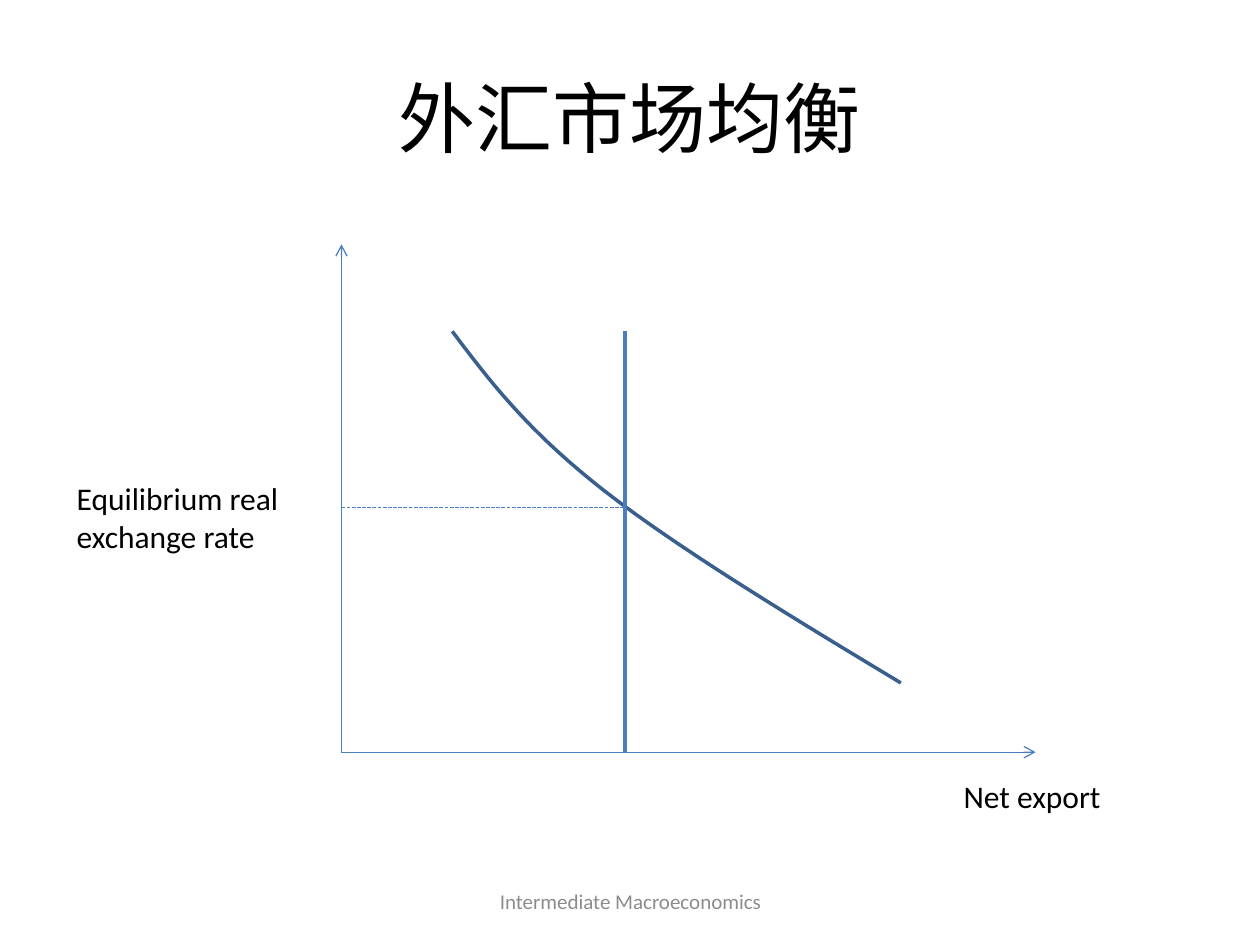
from lxml import etree
from pptx import Presentation
from pptx import util as u
from pptx.dml.color import RGBColor
from pptx.enum import dml, shapes, text
from pptx.oxml.ns import qn

COLORS = {"ink": "000000", "footer": "8C8C8C", "axis": "4B7EBC", "demand": "3A5F8C"}

deck = Presentation()
deck.slide_width, deck.slide_height = u.Inches(10), u.Inches(7.5)
page = deck.slides.add_slide(deck.slide_layouts[6])
column, row = deck.slide_width / 100, deck.slide_height / 75


def add_label(words, left, top, width, height, size, color, align, anchor):
    box = page.shapes.add_textbox(
        round(left * column), round(top * row), round(width * column), round(height * row))
    frame = box.text_frame
    frame.word_wrap = True
    frame.vertical_anchor = anchor
    frame.text = words
    para = frame.paragraphs[0]
    para.alignment = align
    span = para.runs[0]
    span.font.name = "Calibri"
    span.font.size = u.Pt(size)
    span.font.color.rgb = RGBColor.from_string(COLORS[color])


def add_line(start, end, width, arrow=False, dashed=False):
    line = page.shapes.add_connector(
        shapes.MSO_CONNECTOR.STRAIGHT,
        round(start[0] * column), round(start[1] * row),
        round(end[0] * column), round(end[1] * row))
    line.line.color.rgb = RGBColor.from_string(COLORS["axis"])
    line.line.width = u.Pt(width)
    if dashed:
        line.line.dash_style = dml.MSO_LINE.SQUARE_DOT
    if arrow:
        etree.SubElement(line.line._get_or_add_ln(), qn("a:tailEnd"), type="arrow")
    etree.SubElement(line._element.spPr, qn("a:effectLst"))


center, left = text.PP_ALIGN.CENTER, text.PP_ALIGN.LEFT
middle, top = text.MSO_ANCHOR.MIDDLE, text.MSO_ANCHOR.TOP
add_label("外汇市场均衡", 5, 3, 90, 12.5, 44, "ink", center, middle)
add_label("Intermediate Macroeconomics", 34.2, 69.5, 31.7, 4, 12, "footer", center, middle)
add_label("Net export", 75.5, 61.2, 19.3, 4, 18, "ink", left, top)
add_label("Equilibrium real exchange rate", 5.1, 37.5, 20.5, 7.1, 18, "ink", left, top)

origin = (27.1, 59.7)
equilibrium = (49.6, 40.3)
curve_top = 26.3
add_line(origin, (82.2, origin[1]), 0.75, arrow=True)
add_line(origin, (origin[0], 19.4), 0.75, arrow=True)

bends = [
    ((35.9, curve_top), (38.9, 30.3), (41.9, 34.2), (47.9, 38.9)),
    ((47.9, 38.9), (53.8, 43.5), (62.7, 48.9), (71.5, 54.2)),
]
steps = 24
points = [bends[0][0]]
for a, b, c, d in bends:
    for step in range(1, steps + 1):
        t = step / steps
        weights = ((1 - t) ** 3, 3 * t * (1 - t) ** 2, 3 * t * t * (1 - t), t ** 3)
        points.append(tuple(
            sum(weight * point[axis] for weight, point in zip(weights, (a, b, c, d)))
            for axis in (0, 1)))
trace = [(round(x * column), round(y * row)) for x, y in points]
builder = page.shapes.build_freeform(*trace[0])
builder.add_line_segments(trace[1:], close=False)
demand = builder.convert_to_shape()
demand.shadow.inherit = False
demand.fill.background()
demand.line.color.rgb = RGBColor.from_string(COLORS["demand"])
demand.line.width = u.Pt(2)

add_line((origin[0], equilibrium[1]), equilibrium, 0.75, dashed=True)
add_line((equilibrium[0], curve_top), (equilibrium[0], origin[1]), 2)

deck.save("out.pptx")
